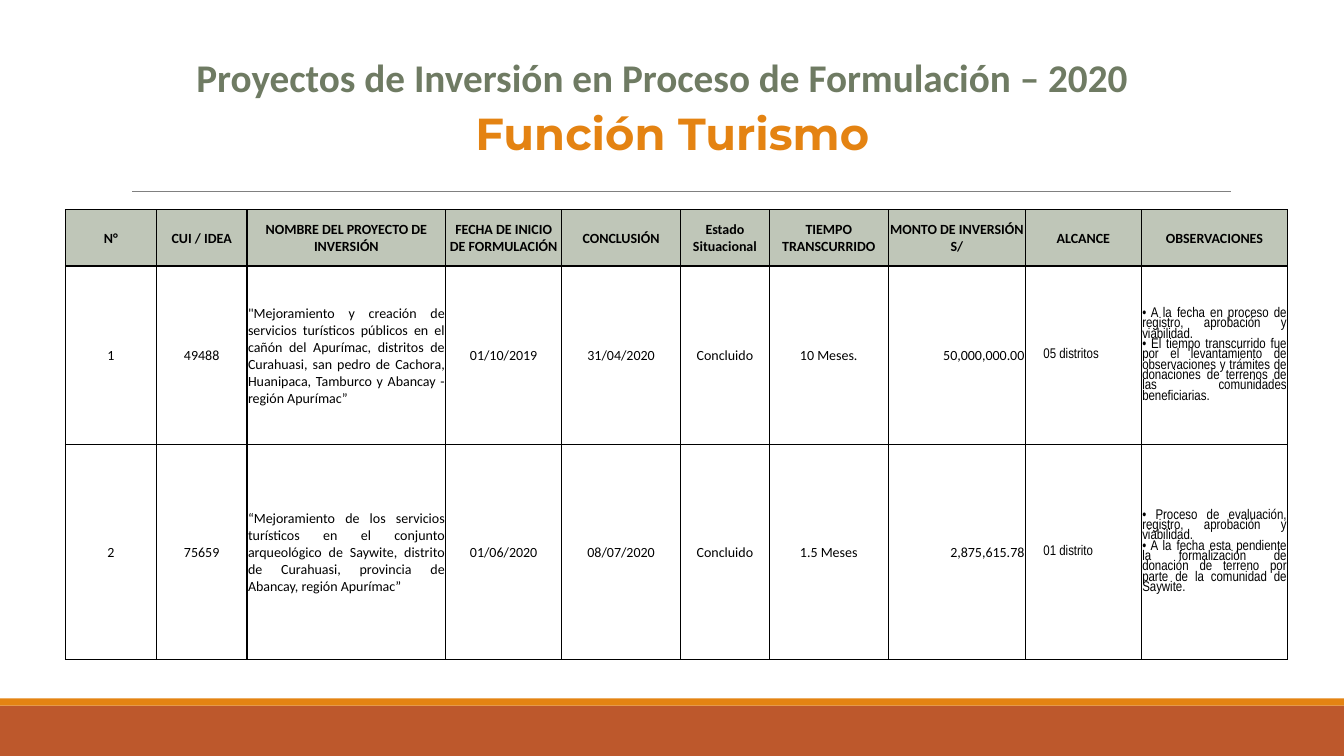
"""Build the slide on tourism investment projects being formulated in 2020."""
from lxml.etree import SubElement as Sub
from pptx import Presentation
from pptx.dml.color import RGBColor
from pptx.enum.shapes import MSO_CONNECTOR as Conn, MSO_SHAPE as Shape
from pptx.enum.text import MSO_ANCHOR as Anchor, PP_ALIGN as Align
from pptx.oxml.ns import qn
from pptx.util import Inches, Pt

RUST = RGBColor(0xBD, 0x58, 0x2C)
ORANGE = RGBColor(0xE4, 0x83, 0x12)
GRAY = RGBColor(0x80, 0x80, 0x80)
GREEN = RGBColor(0x6F, 0x7B, 0x63)
SAGE = RGBColor(0xBF, 0xC6, 0xB8)
BLACK = RGBColor(0, 0, 0)
WHITE = RGBColor(0xFF, 0xFF, 0xFF)


def write(para, text, size, font, color, bold, align):
    para.alignment = align
    run = para.add_run()
    run.text = text
    run.font.size = Pt(size)
    run.font.name = font
    run.font.bold = bold
    run.font.color.rgb = color


def border(cell):
    props = cell._tc.get_or_add_tcPr()
    for i, side in enumerate(("a:lnL", "a:lnR", "a:lnT", "a:lnB")):
        line = props.makeelement(qn(side), {"w": str(Pt(1))})
        fill = Sub(line, qn("a:solidFill"))
        Sub(fill, qn("a:srgbClr"), val=str(BLACK))
        props.insert(i, line)


deck = Presentation()
deck.slide_width, deck.slide_height = Inches(13.33), Inches(7.5)
slide = deck.slides.add_slide(deck.slide_layouts[6])
shapes = slide.shapes

for top, high, color in ((7, 0.5, RUST), (6.93, 0.07, ORANGE)):
    band = shapes.add_shape(Shape.RECTANGLE, 0, Inches(top), deck.slide_width, Inches(high))
    band.shadow.inherit = False
    band.fill.solid()
    band.fill.fore_color.rgb = color
    band.line.fill.background()

rule = shapes.add_connector(Conn.STRAIGHT, Inches(1.31), Inches(1.9), Inches(12.21), Inches(1.9))
rule.line.color.rgb = GRAY
rule.line.width = Pt(0.5)
Sub(rule._element.spPr, qn("a:effectLst"))

titles = (
    ("Proyectos de Inversión en Proceso de Formulación – 2020", 0.36, 0.34, 12.41, 28, "Calibri", GREEN),
    ("Función Turismo", 4.57, 0.92, 4.2, 32, "Montserrat", ORANGE),
)
for text, left, top, wide, size, font, color in titles:
    frame = shapes.add_textbox(Inches(left), Inches(top), Inches(wide), Inches(0.66)).text_frame
    frame.word_wrap = True
    frame.vertical_anchor = Anchor.BOTTOM
    frame.margin_left = frame.margin_right = frame.margin_top = frame.margin_bottom = 0
    write(frame.paragraphs[0], text, size, font, color, True, Align.CENTER)

heads = ("N°", "CUI / IDEA", "NOMBRE DEL PROYECTO DE INVERSIÓN", "FECHA DE INICIO DE FORMULACIÓN",
         "CONCLUSIÓN", "Estado Situacional", "TIEMPO TRANSCURRIDO", "MONTO DE INVERSIÓN S/",
         "ALCANCE", "OBSERVACIONES")
canyon = ("1", "49488",
          '"Mejoramiento y creación de servicios turísticos públicos en el cañón del Apurímac, '
          "distritos de Curahuasi, san pedro de Cachora, Huanipaca, Tamburco y Abancay - región Apurímac”",
          "01/10/2019", "31/04/2020", "Concluido", "10 Meses.", "50,000,000.00", "05 distritos",
          "• A la fecha en proceso de registro, aprobación y viabilidad.\n"
          "• El tiempo transcurrido fue por el levantamiento de observaciones y trámites de "
          "donaciones de terrenos de las comunidades beneficiarias.")
saywite = ("2", "75659",
           "“Mejoramiento de los servicios turísticos en el conjunto arqueológico de Saywite, "
           "distrito de Curahuasi, provincia de Abancay, región Apurímac”",
           "01/06/2020", "08/07/2020", "Concluido", "1.5 Meses", "2,875,615.78", "01 distrito",
           "• Proceso de evaluación, registro, aprobación y viabilidad.\n"
           "• A la fecha esta pendiente la formalización de donación de terreno por parte de "
           "la comunidad de Saywite.")
rows = (heads, canyon, saywite)
wides = (0.9, 0.9, 1.97, 1.15, 1.18, 0.88, 1.18, 1.36, 1.15, 1.45)
highs = (0.56, 1.77, 2.13)
NAME, SUM, SCOPE, NOTES = 2, 7, 8, 9
aligns = {NAME: Align.JUSTIFY, SUM: Align.RIGHT, SCOPE: Align.LEFT, NOTES: Align.JUSTIFY}

table = shapes.add_table(len(rows), len(wides), Inches(0.65), Inches(2.08),
                         Inches(sum(wides)), Inches(sum(highs))).table
for col, wide in zip(table.columns, wides):
    col.width = Inches(wide)
for r, (row, high) in enumerate(zip(rows, highs)):
    table.rows[r].height = Inches(high)
    head = r == 0
    for c, text in enumerate(row):
        cell = table.cell(r, c)
        cell.fill.solid()
        cell.fill.fore_color.rgb = SAGE if head else WHITE
        border(cell)
        cell.vertical_anchor = Anchor.MIDDLE
        cell.margin_left = Inches(0.18 if c == SCOPE and not head else 0.01)
        cell.margin_right = cell.margin_top = Inches(0.01)
        cell.margin_bottom = 0
        slim = c >= SCOPE and not head
        align = Align.CENTER if head else aligns.get(c, Align.CENTER)
        frame = cell.text_frame
        for i, part in enumerate(text.split("\n")):
            para = frame.add_paragraph() if i else frame.paragraphs[0]
            write(para, part, 10, "Arial Narrow" if slim else "Calibri", BLACK, head, align)
            if slim:
                para.line_spacing = 0.8

deck.save("out.pptx")
